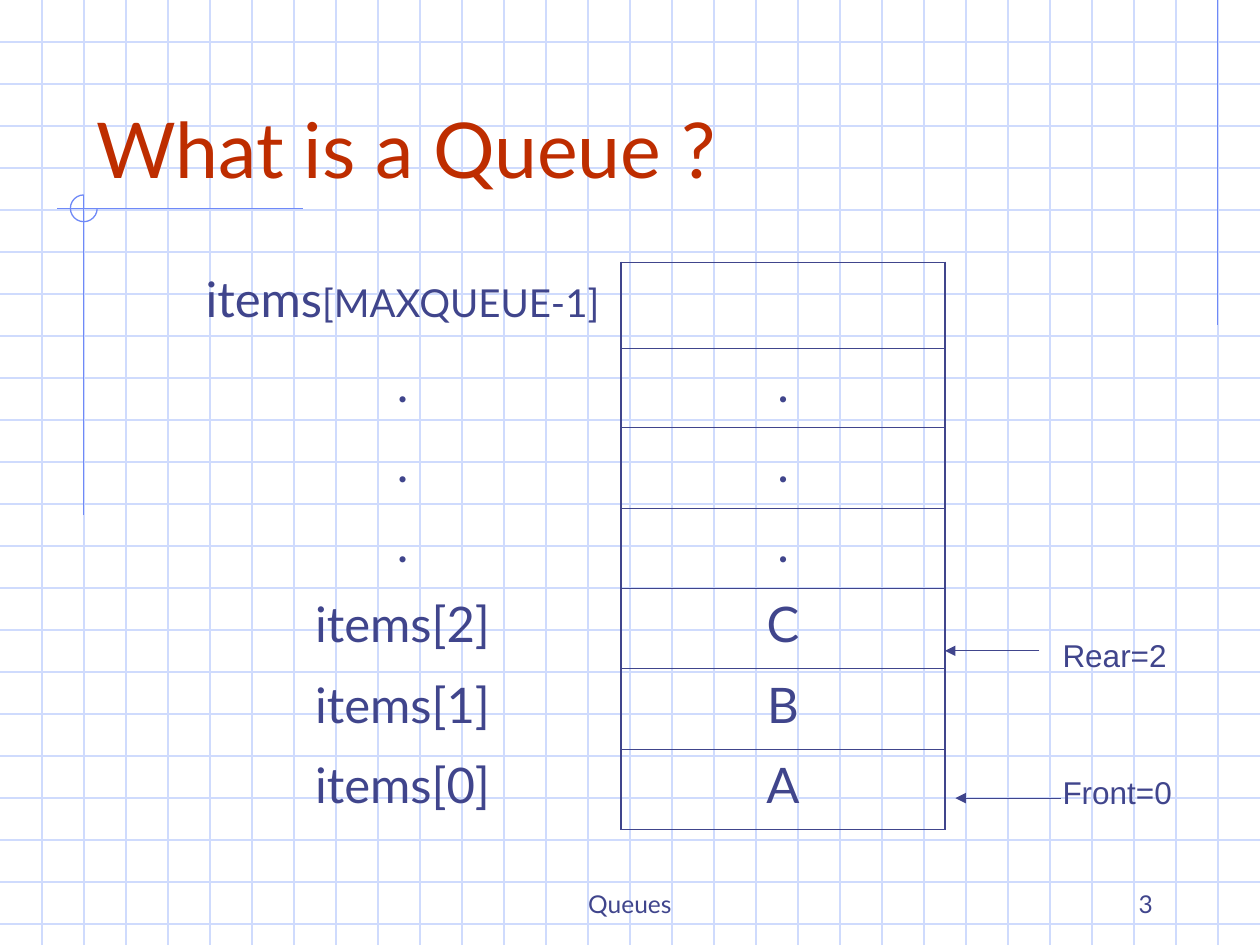
from typing import NamedTuple

from lxml import etree
from pptx import Presentation
from pptx.dml.color import RGBColor
from pptx.enum.shapes import MSO_CONNECTOR, MSO_SHAPE
from pptx.enum.text import MSO_ANCHOR, MSO_AUTO_SIZE, PP_ALIGN
from pptx.oxml.ns import qn
from pptx.util import Cm, Pt

LINE = MSO_CONNECTOR.STRAIGHT
ARC = MSO_SHAPE.ARC
TOP, LOW = MSO_ANCHOR.TOP, MSO_ANCHOR.BOTTOM
LEFT, MID, RIGHT = PP_ALIGN.LEFT, PP_ALIGN.CENTER, PP_ALIGN.RIGHT
GROW, FIXED = MSO_AUTO_SIZE.SHAPE_TO_FIT_TEXT, MSO_AUTO_SIZE.NONE

INK = RGBColor(0x40, 0x45, 0x8C)
RED = RGBColor(0xBE, 0x2D, 0x00)
BLUE = RGBColor(0x6F, 0x89, 0xF7)
PALE = RGBColor(0xCF, 0xDB, 0xFD)
WHITE = RGBColor(0xFF, 0xFF, 0xFF)

WIDE, HIGH = 25.4, 19.05
STEP = WIDE / 30
THICK, THIN = 1.08, 0.45
NO_STYLE = "{2D5ABB26-0587-4C30-8999-92F81FD0307C}"


class Rule(NamedTuple):
    x1: float
    y1: float
    x2: float
    y2: float
    color: RGBColor = BLUE
    arrow: bool = False


class Label(NamedTuple):
    text: str
    x: float
    y: float
    w: float
    h: float
    size: int
    font: str = "Lato"
    color: RGBColor = INK
    align: PP_ALIGN = LEFT
    anchor: MSO_ANCHOR = LOW
    before: float = 0
    fit: MSO_AUTO_SIZE = FIXED


class Slot(NamedTuple):
    name: str
    value: str
    high: float = 1.62
    before: float = 7
    index: str = ""


GRID = [Rule(0, i * STEP, WIDE, i * STEP, PALE) for i in range(1, 23)]
GRID += [Rule(i * STEP, 0, i * STEP, HIGH, PALE) for i in range(1, 30)]

TRIM = [
    Rule(24.55, 0, 24.55, 6.55),
    Rule(6.1, 4.21, 1.15, 4.21),
    Rule(1.69, 3.93, 1.69, 10.39),
]

ARROWS = [
    Rule(21.38, 16.09, 19.26, 16.09, INK, True),
    Rule(20.95, 13.12, 19.05, 13.12, INK, True),
]

LABELS = [
    Label("Queues", 8.68, 17.36, 8.04, 1.27, 14, align=MID),
    Label("3", 18.2, 17.36, 5.29, 1.27, 14, align=RIGHT),
    Label("What is a Queue ?", 1.69, 0.85, 21.59, 3.18, 44, color=RED),
    Label("Front=0", 21.17, 15.45, 3.6, 1.02, 18, "Arial",
          anchor=TOP, before=11.2, fit=GROW),
    Label("Rear=2", 21.17, 12.7, 3.39, 1.02, 18, "Arial",
          anchor=TOP, before=11.2, fit=GROW),
]

SLOTS = [
    Slot("items", "", 1.73, 5.5, "[MAXQUEUE-1]"),
    Slot(".", ".", 1.6),
    Slot(".", "."),
    Slot(".", "."),
    Slot("items[2]", "C"),
    Slot("items[1]", "B"),
    Slot("items[0]", "A"),
]


def add_rule(slide, rule: Rule) -> None:
    line = slide.shapes.add_connector(
        LINE, Cm(rule.x1), Cm(rule.y1), Cm(rule.x2), Cm(rule.y2))
    line.line.color.rgb = rule.color
    line.line.width = Pt(0.75)
    if rule.arrow:
        end = etree.SubElement(line.line._get_or_add_ln(), qn("a:tailEnd"))
        end.set("type", "triangle")
    etree.SubElement(line._element.spPr, qn("a:effectLst"))


def add_arc(slide) -> None:
    """Three quarters of a ring where the two trim lines cross."""
    arc = slide.shapes.add_shape(ARC, Cm(1.42), Cm(3.93), Cm(0.54), Cm(0.54))
    arc.adjustments[0] = 0
    arc.adjustments[1] = 162
    arc.shadow.inherit = False
    arc.fill.background()
    arc.line.color.rgb = BLUE
    arc.line.width = Pt(0.75)


def style(para, size: int, font: str, color: RGBColor,
          align: PP_ALIGN, before: float) -> None:
    para.alignment = align
    para.space_before = Pt(before)
    para.font.size = Pt(size)
    para.font.name = font
    para.font.color.rgb = color


def add_label(slide, item: Label) -> None:
    box = slide.shapes.add_textbox(
        Cm(item.x), Cm(item.y), Cm(item.w), Cm(item.h))
    frame = box.text_frame
    frame.word_wrap = True
    frame.auto_size = item.fit
    frame.vertical_anchor = item.anchor
    para = frame.paragraphs[0]
    para.text = item.text
    style(para, item.size, item.font, item.color, item.align, item.before)


def add_edge(cell, side: str, width: float) -> None:
    edge = etree.SubElement(cell._tc.get_or_add_tcPr(), qn(f"a:ln{side}"))
    edge.set("w", str(Pt(width)))
    fill = etree.SubElement(edge, qn("a:solidFill"))
    etree.SubElement(fill, qn("a:srgbClr")).set("val", str(INK))


def add_queue(slide) -> None:
    cols = (8.81, 6.53)
    high = sum(slot.high for slot in SLOTS)
    table = slide.shapes.add_table(
        len(SLOTS), 2, Cm(3.71), Cm(5.29), Cm(sum(cols)), Cm(high)).table
    table.first_row = table.horz_banding = False
    table._tbl.tblPr.find(qn("a:tableStyleId")).text = NO_STYLE
    for col, wide in zip(table.columns, cols):
        col.width = Cm(wide)
    last = len(SLOTS) - 1
    for i, slot in enumerate(SLOTS):
        table.rows[i].height = Cm(slot.high)
        name, value = table.cell(i, 0), table.cell(i, 1)
        add_edge(name, "R", THICK)
        add_edge(value, "L", THICK)
        add_edge(value, "R", THICK)
        add_edge(value, "T", THICK if i == 0 else THIN)
        add_edge(value, "B", THICK if i == last else THIN)
        for cell, text in ((name, slot.name), (value, slot.value)):
            cell.fill.background()
            para = cell.text_frame.paragraphs[0]
            para.text = text
            style(para, 28, "Lato", INK, MID, slot.before)
        if slot.index:
            run = name.text_frame.paragraphs[0].add_run()
            run.text = slot.index
            run.font.size = Pt(22)


def main() -> None:
    deck = Presentation()
    deck.slide_width, deck.slide_height = Cm(WIDE), Cm(HIGH)
    slide = deck.slides.add_slide(deck.slide_layouts[6])
    slide.background.fill.solid()
    slide.background.fill.fore_color.rgb = WHITE
    for rule in GRID + TRIM:
        add_rule(slide, rule)
    add_arc(slide)
    add_queue(slide)
    for rule in ARROWS:
        add_rule(slide, rule)
    for item in LABELS:
        add_label(slide, item)
    deck.save("out.pptx")


if __name__ == "__main__":
    main()
